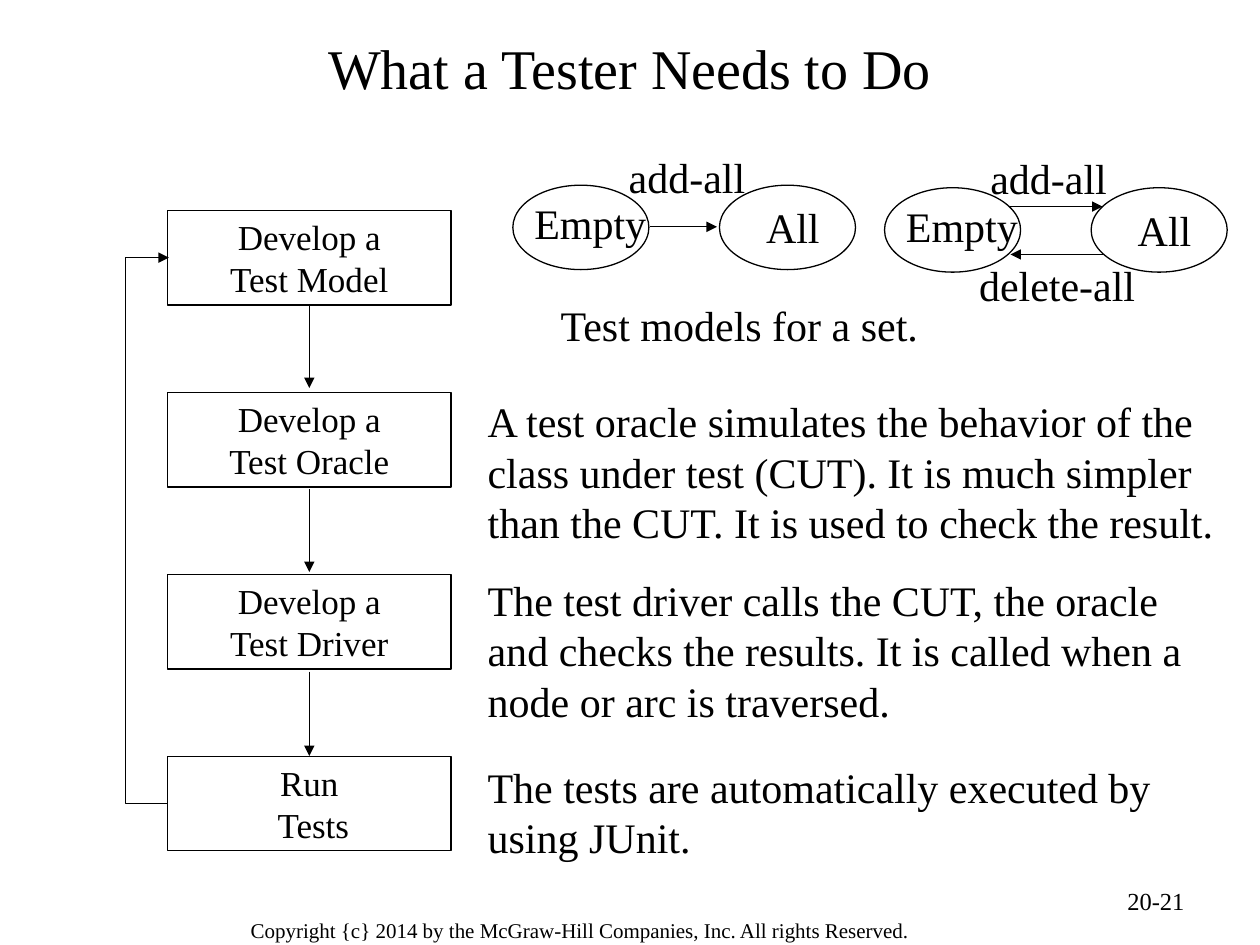
import pptx
import pptx.util
import pptx.dml.color
import pptx.enum.shapes
import pptx.enum.text
import pptx.oxml
import pptx.oxml.ns

Inches = pptx.util.Inches
Pt = pptx.util.Pt
SHAPE = pptx.enum.shapes.MSO_SHAPE
CONNECTOR = pptx.enum.shapes.MSO_CONNECTOR
ALIGN = pptx.enum.text.PP_ALIGN
ANCHOR = pptx.enum.text.MSO_ANCHOR

BLACK = pptx.dml.color.RGBColor(0x00, 0x00, 0x00)
FONT = "Times New Roman"
LINE_WIDTH = Pt(0.75)

# Flow chart grid: one column of boxes, four equal rows, notes to the right
BOX_LEFT, BOX_WIDTH, BOX_HEIGHT = 1.33, 2.25, 0.75
FIRST_ROW, ROW_PITCH = 1.67, 13 / 9
LABEL_WIDTH, LABEL_HEIGHT = 1.42, 0.67
NOTE_LEFT = 3.87
BOX_CENTER = BOX_LEFT + BOX_WIDTH / 2

# Test model diagrams: two ellipses each
NODE_WIDTH, NODE_HEIGHT, NODE_PITCH = 1.08, 0.67, 1.64

presentation = pptx.Presentation()
presentation.slide_width = Inches(10)
presentation.slide_height = Inches(7.5)
slide = presentation.slides.add_slide(presentation.slide_layouts[6])


def add_text(text, left, top, width, height, size=24, align=ALIGN.LEFT,
             wrap=True, margins=(0, 0), anchor=ANCHOR.TOP):
    """Add a text box; margins are (horizontal, vertical) in inches."""
    box = slide.shapes.add_textbox(Inches(left), Inches(top), Inches(width), Inches(height))
    frame = box.text_frame
    frame.word_wrap = wrap
    frame.vertical_anchor = anchor
    frame.margin_left = frame.margin_right = Inches(margins[0])
    frame.margin_top = frame.margin_bottom = Inches(margins[1])
    frame.text = text
    for paragraph in frame.paragraphs:
        paragraph.alignment = align
        paragraph.line_spacing = Pt(size * 1.2)
        for run in paragraph.runs:
            run.font.name = FONT
            run.font.size = Pt(size)
            run.font.color.rgb = BLACK


def add_arrow(start, end, kind=CONNECTOR.STRAIGHT):
    arrow = slide.shapes.add_connector(kind, *(Inches(value) for value in start + end))
    arrow.line.color.rgb = BLACK
    arrow.line.width = LINE_WIDTH
    properties = arrow._element.spPr
    line = properties.find(pptx.oxml.ns.qn("a:ln"))
    line.append(pptx.oxml.parse_xml(
        f'<a:tailEnd {pptx.oxml.ns.nsdecls("a")} type="triangle"/>'))
    properties.append(pptx.oxml.parse_xml(f'<a:effectLst {pptx.oxml.ns.nsdecls("a")}/>'))
    return arrow


# Footer, page number and title
add_text("Copyright {c} 2014 by the McGraw-Hill Companies, Inc. All rights Reserved.",
         1.88, 7.22, 6.19, 0.31, size=12, margins=(0.11, 0.06))
add_text("20-21", 7.17, 6.98, 2.33, 0.52, size=14, align=ALIGN.RIGHT, margins=(0.1, 0.05))
add_text("What a Tester Needs to Do", 0.5, 0.15, 9, 0.77, size=32,
         align=ALIGN.CENTER, margins=(0.1, 0.05), anchor=ANCHOR.MIDDLE)

# Outlines: four step boxes and the nodes of both test models
models = [(4.07, 1.47), (7.02, 1.49)]
steps = ["Develop a Test Model", "Develop a Test Oracle", "Develop a Test Driver", "Run\n Tests"]
row_tops = [FIRST_ROW + ROW_PITCH * row for row in range(len(steps))]
outlines = [(SHAPE.RECTANGLE, BOX_LEFT, top, BOX_WIDTH, BOX_HEIGHT) for top in row_tops]
outlines += [(SHAPE.OVAL, left + NODE_PITCH * node, top, NODE_WIDTH, NODE_HEIGHT)
             for left, top in models for node in range(2)]
for kind, *lengths in outlines:
    shape = slide.shapes.add_shape(kind, *(Inches(length) for length in lengths))
    shape.shadow.inherit = False
    shape.fill.background()
    shape.line.color.rgb = BLACK
    shape.line.width = LINE_WIDTH

for step, top in zip(steps, row_tops):
    add_text(step, BOX_CENTER - LABEL_WIDTH / 2, top + (BOX_HEIGHT - LABEL_HEIGHT) / 2,
             LABEL_WIDTH, LABEL_HEIGHT, size=20, align=ALIGN.CENTER)

# Arrows down the flow and the loop back to the first step
for start, end in [(2.42, 3.08), (3.88, 4.54), (5.33, 6)]:
    add_arrow((BOX_CENTER, start), (BOX_CENTER, end))
loop = add_arrow((BOX_LEFT, row_tops[0] + BOX_HEIGHT / 2),
                 (BOX_LEFT + 0.01, row_tops[-1] + BOX_HEIGHT / 2), CONNECTOR.ELBOW)
transform = loop._element.spPr.find(pptx.oxml.ns.qn("a:xfrm"))
transform.set("rot", "10800000")
transform.set("flipH", "1")
geometry = loop._element.spPr.find(pptx.oxml.ns.qn("a:prstGeom"))
for adjustments in geometry.findall(pptx.oxml.ns.qn("a:avLst")):
    geometry.remove(adjustments)
geometry.append(pptx.oxml.parse_xml(
    f'<a:avLst {pptx.oxml.ns.nsdecls("a")}><a:gd name="adj1" fmla="val -3400000"/></a:avLst>'))

# Labels and arrows of the test models
for left, top in models:
    add_text("Empty", left + 0.17, top + 0.1, 0.89, 0.4, wrap=False)
    add_text("All", left + 2.01, top + 0.13, 0.43, 0.4, wrap=False)
for start, end in [((5.16, 1.8), (5.69, 1.8)), ((8.02, 1.64), (8.75, 1.64)),
                   ((8.75, 2.02), (8.02, 2.02))]:
    add_arrow(start, end)
for left, top in [(4.99, 1.2), (7.86, 1.21)]:
    add_text("add-all", left, top, 0.93, 0.4, wrap=False)
add_text("delete-all", 7.5, 2.06, 1.78, 0.4, align=ALIGN.CENTER)
add_text("Test models for a set.", 4.45, 2.38, 2.86, 0.4, wrap=False)

# Notes beside the steps
add_text("A test oracle simulates the behavior of the\n"
         "class under test (CUT). It is much simpler\n"
         "than the CUT. It is used to check the result.",
         NOTE_LEFT, 3.14, 5.79, 1.2, wrap=False)
add_text("The test driver calls the CUT, the oracle\n"
         "and checks the results. It is called when a node or arc is traversed.",
         NOTE_LEFT, 4.56, 5.85, 1.2)
add_text("The tests are automatically executed by\nusing JUnit.",
         NOTE_LEFT, 6.04, 5.27, 0.8, wrap=False)

presentation.save("out.pptx")
